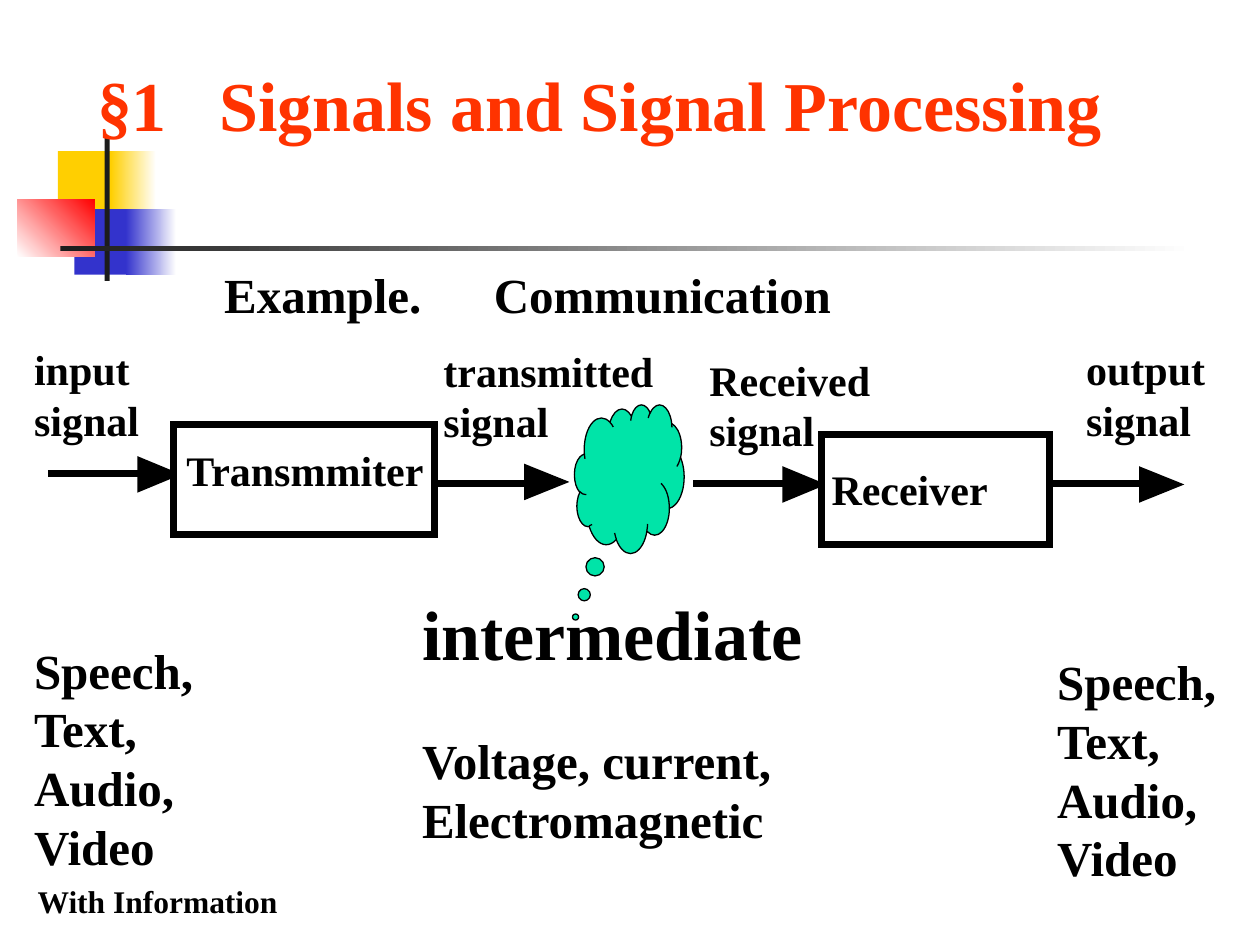
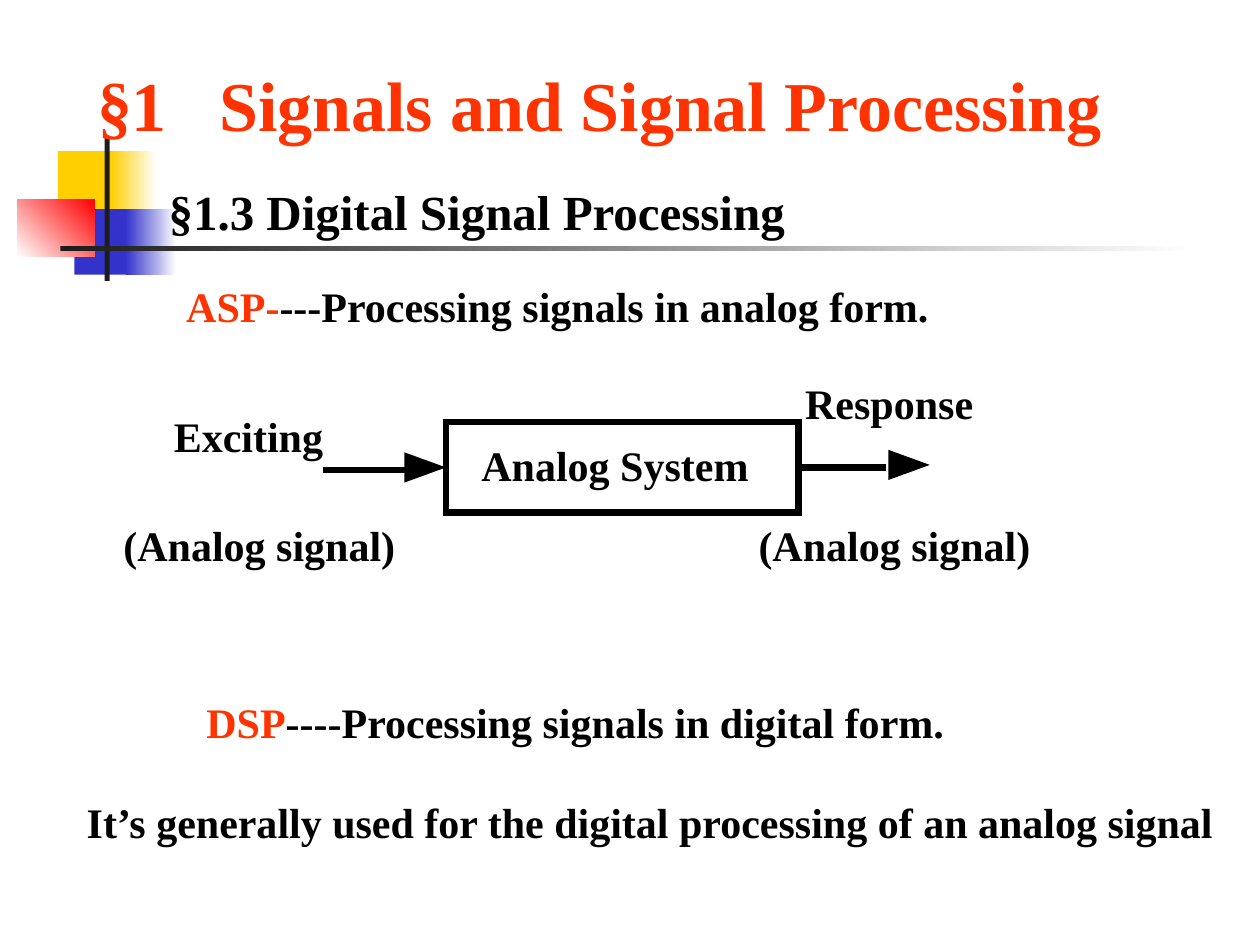
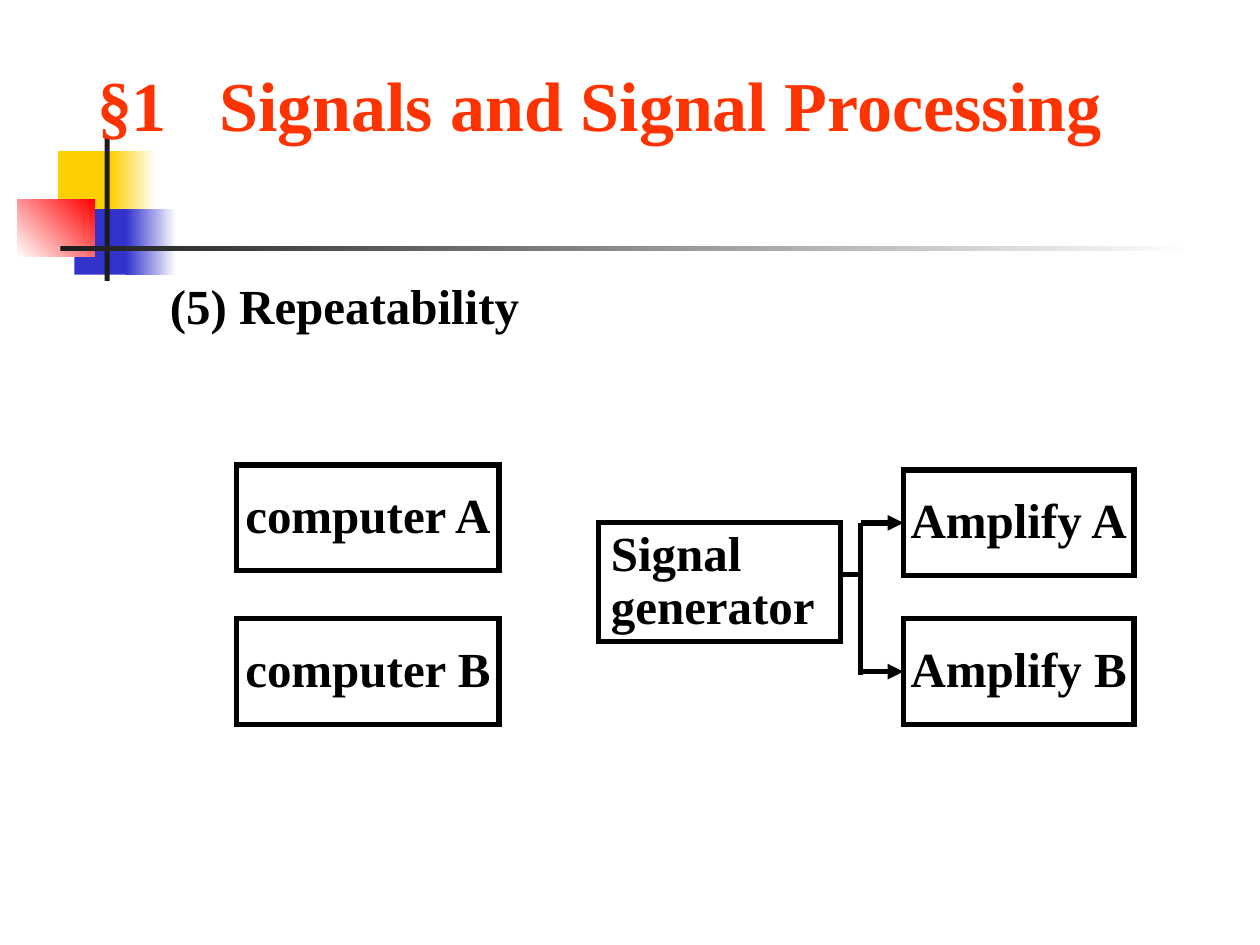
"""Build three slides on signals and signal processing."""
from lxml.etree import SubElement
from pptx import Presentation
from pptx.dml.color import RGBColor
from pptx.enum.shapes import MSO_CONNECTOR, MSO_SHAPE
from pptx.enum.text import MSO_ANCHOR, MSO_AUTO_SIZE, PP_ALIGN
from pptx.oxml.ns import qn
from pptx.util import Inches, Pt

HUES = {name: RGBColor.from_string(code) for name, code in {
    "black": "000000", "white": "FFFFFF", "orange": "FF3300", "gold": "FFCF01",
    "blue": "3333CC", "red": "FF0000", "ink": "1C1C1C", "mint": "00E4A8"}.items()}
FONT = "Times New Roman"
THICK, THIN = 3.88, 3


def write(frame, text, size, hue="black", lead="", tab=0, wrap=True, pad=0.1,
          align=PP_ALIGN.LEFT, space=None):
    frame.word_wrap = wrap
    frame.margin_left = frame.margin_right = Inches(pad)
    frame.margin_top = frame.margin_bottom = Inches(pad / 2)
    for at, line in enumerate(text.split("\n")):
        para = frame.add_paragraph() if at else frame.paragraphs[0]
        para.alignment = align
        para.line_spacing = space
        if tab:
            stops = SubElement(para._p.get_or_add_pPr(), qn("a:tabLst"))
            SubElement(stops, qn("a:tab"), pos=str(Inches(tab)), algn="l")
        para.font.name = FONT
        para.font.size = Pt(size)
        para.font.bold = True
        para.font.color.rgb = HUES[hue]
        if lead:
            run = para.add_run()
            run.text = lead
            run.font.color.rgb = HUES["orange"]
        para.add_run().text = line


def draw(slide, kind, spot, hue=None, pen=0):
    shape = slide.shapes.add_shape(kind, *map(Inches, spot))
    shape.shadow.inherit = False
    if hue:
        shape.fill.solid()
        shape.fill.fore_color.rgb = HUES[hue]
    else:
        shape.fill.background()
    if pen:
        shape.line.color.rgb = HUES["black"]
        shape.line.width = Pt(pen)
        SubElement(shape.element.spPr.find(qn("a:ln")), qn("a:miter"), lim="800000")
    else:
        shape.line.fill.background()
    return shape


deck = Presentation()
deck.slide_width, deck.slide_height = Inches(10), Inches(7.5)
layout = deck.slide_layouts[5]
talk, analog, repeat = slides = [deck.slides.add_slide(layout) for _ in range(3)]

for spot, hue, end, angle in [
        ((0.46, 1.2, 0.48, 0.52), "gold", None, 0),
        ((0.88, 1.2, 0.36, 0.52), "gold", "white", 0),
        ((0.59, 1.66, 0.46, 0.52), "blue", None, 0),
        ((1, 1.66, 0.4, 0.52), "blue", "white", 0),
        ((0.14, 1.58, 0.61, 0.46), "white", "red", 45),
        ((0.83, 1.08, 0.04, 1.15), "ink", None, 0),
        ((0.48, 1.95, 9, 0.04), "ink", "white", 0)]:
    band = draw(talk, MSO_SHAPE.RECTANGLE, spot, hue)
    if end:
        band.fill.gradient()
        band.fill.gradient_angle = angle
        for stop, tone in zip(band.fill.gradient_stops, (hue, end)):
            stop.color.rgb = HUES[tone]
    layout.shapes.element.append(band.element)

for slide in slides:
    title = slide.shapes.title
    title.left, title.top, title.width, title.height = map(
        Inches, (0.67, 0.44, 9.06, 0.77))
    title.text_frame.vertical_anchor = MSO_ANCHOR.TOP
    title.text_frame.auto_size = MSO_AUTO_SIZE.NONE
    write(title.text_frame, "§1\tSignals and Signal Processing", 40, "orange", tab=0.97)

links = []
for slide, left, top, right, base, pen in [
        (talk, 0.38, 3.76, 1.12, 3.76, THICK),
        (talk, 3.45, 3.84, 4.19, 3.84, THICK),
        (talk, 5.5, 3.84, 6.24, 3.84, THICK),
        (talk, 8.34, 3.84, 9.08, 3.84, THICK),
        (analog, 2.56, 3.73, 3.25, 3.73, THICK),
        (analog, 6.34, 3.71, 7.03, 3.71, THICK),
        (repeat, 6.83, 4.15, 6.83, 5.36, THIN),
        (repeat, 6.67, 4.56, 6.83, 4.56, THIN),
        (repeat, 6.83, 4.15, 7.17, 4.15, THIN),
        (repeat, 6.83, 5.33, 7.17, 5.33, THIN)]:
    link = slide.shapes.add_connector(
        MSO_CONNECTOR.STRAIGHT, *map(Inches, (left, top, right, base)))
    link.line.color.rgb = HUES["black"]
    link.line.width = Pt(pen)
    SubElement(link.element.spPr, qn("a:effectLst"))
    links.append(link)

for slide, left, top, wide, high in [
        (talk, 1.09, 3.62, 0.35, 0.29), (talk, 4.16, 3.68, 0.36, 0.29),
        (talk, 6.21, 3.7, 0.35, 0.29), (talk, 9.04, 3.7, 0.36, 0.29),
        (analog, 3.21, 3.59, 0.33, 0.24), (analog, 7.05, 3.57, 0.33, 0.24)]:
    edge = slide.shapes.build_freeform(Inches(left), Inches(top))
    edge.add_line_segments([(Inches(left + wide), Inches(top + high / 2)),
                            (Inches(left), Inches(top + high))])
    head = edge.convert_to_shape()
    head.shadow.inherit = False
    head.fill.solid()
    head.fill.fore_color.rgb = HUES["black"]
    head.line.fill.background()

for spot in [(1.38, 3.37, 2.07, 0.87), (6.52, 3.45, 1.81, 0.87)]:
    draw(talk, MSO_SHAPE.RECTANGLE, spot, "white", THICK)
system = draw(analog, MSO_SHAPE.RECTANGLE, (3.54, 3.35, 2.8, 0.72), "white", THICK)
links[5].begin_connect(system, 3)

cloud = draw(talk, MSO_SHAPE.CLOUD_CALLOUT, (4.56, 3.21, 0.87, 1.18), "mint", 0.75)
cloud.adjustments[0], cloud.adjustments[1] = -0.49, 0.93

boxes = []
for text, left, top, wide in [
        ("Amplify A", 7.17, 3.73, 1.83), ("Amplify B", 7.17, 4.91, 1.83),
        ("computer A", 1.88, 3.69, 2.08), ("computer B", 1.88, 4.91, 2.08)]:
    box = draw(repeat, MSO_SHAPE.RECTANGLE, (left, top, wide, 0.84), "white", THIN)
    box.text_frame.vertical_anchor = MSO_ANCHOR.MIDDLE
    write(box.text_frame, text, 28, wrap=False, align=PP_ALIGN.CENTER, space=0.9)
    boxes.append(box)

for link, box in zip(links[-2:], boxes):
    link.end_connect(box, 1)
    SubElement(link.element.spPr.find(qn("a:ln")), qn("a:tailEnd"), type="triangle")

source = draw(repeat, MSO_SHAPE.RECTANGLE, (4.75, 4.15, 1.92, 0.94), None, THIN)
source.text_frame.vertical_anchor = MSO_ANCHOR.TOP
write(source.text_frame, "Signal generator", 28, space=0.9)

media = "Speech,Text,\nAudio,\nVideo"
flush = {"pad": 0}
loose = {"wrap": False}
for slide, spot, text, size, style in [
        (talk, (1.78, 2.1, 4.9, 0.47), "Example.\tCommunication", 28,
         {"pad": 0, "tab": 2.14}),
        (talk, (3.52, 2.74, 1.8, 0.8), "transmitted\nsignal", 24, flush),
        (talk, (1.48, 3.53, 2.07, 0.4), "Transmmiter", 24, flush),
        (talk, (6.6, 3.68, 1.57, 0.4), "Receiver", 24, flush),
        (talk, (3.35, 4.69, 3.15, 0.67), "intermediate", 40, flush),
        (talk, (0.27, 2.73, 0.95, 0.8), "input\nsignal", 24, flush),
        (talk, (5.63, 2.81, 1.58, 0.8), "Received\nsignal", 24, flush),
        (talk, (8.62, 2.73, 1.05, 0.8), "output\nsignal", 24, flush),
        (talk, (0.27, 5.08, 1.38, 1.87), media, 28, flush),
        (talk, (3.35, 5.8, 3.23, 0.93), "Voltage, current,\nElectromagnetic", 28, flush),
        (talk, (8.39, 5.17, 1.38, 1.87), media, 28, flush),
        (talk, (0.2, 6.95, 2.11, 0.4), "With Information", 18, loose),
        (analog, (1.24, 1.39, 5.19, 0.57), "§1.3 Digital Signal Processing", 28, loose),
        (analog, (1.38, 2.18, 6.1, 0.5), "---Processing signals in analog form.", 24,
         {"wrap": False, "lead": "ASP-"}),
        (analog, (3.82, 3.49, 2.25, 0.4), "Analog System", 24, flush),
        (analog, (1.38, 3.26, 1.3, 0.4), "Exciting", 24, flush),
        (analog, (0.98, 4.12, 2.3, 0.4), "(Analog signal)", 24, flush),
        (analog, (6.39, 3, 1.45, 0.4), "Response", 24, flush),
        (analog, (6.02, 4.12, 2.51, 0.4), "(Analog signal)", 24, flush),
        (analog, (1.54, 5.48, 6.06, 0.5), "----Processing signals in digital form.", 24,
         {"wrap": False, "lead": "DSP"}),
        (analog, (0.59, 6.27, 9.16, 0.5),
         "It’s generally used for the digital processing of an analog signal", 24, loose),
        (repeat, (1.25, 2.19, 5.42, 0.52), "(5) Repeatability", 28, {"space": 0.9})]:
    note = slide.shapes.add_textbox(*map(Inches, spot))
    note.text_frame.auto_size = MSO_AUTO_SIZE.SHAPE_TO_FIT_TEXT
    write(note.text_frame, text, size, **style)

deck.save("out.pptx")
